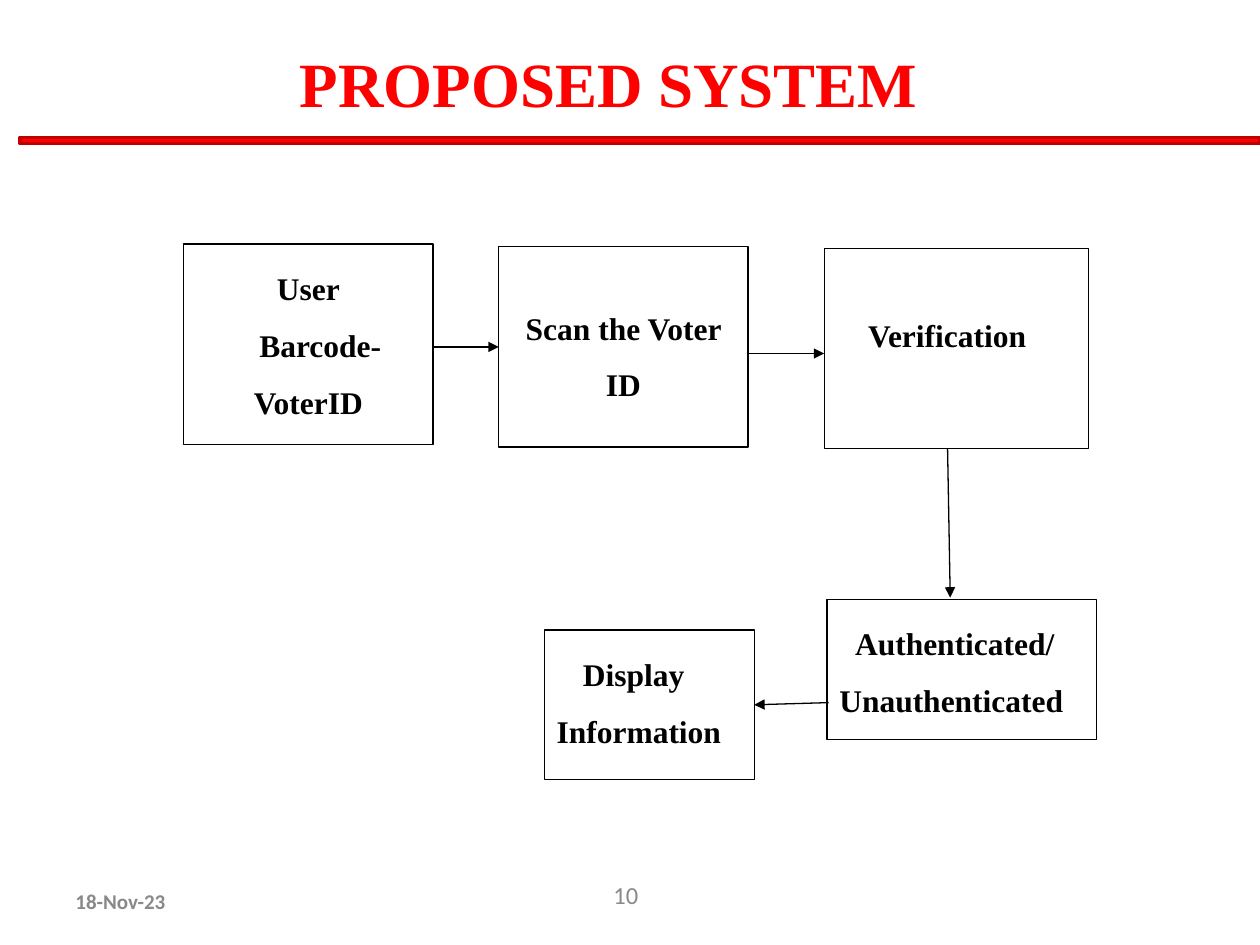
from lxml import etree
from pptx import Presentation
from pptx.dml.color import RGBColor
from pptx.enum.shapes import MSO_CONNECTOR as CONNECTOR, MSO_SHAPE as SHAPE
from pptx.enum.text import MSO_ANCHOR as ANCHOR, PP_ALIGN as ALIGN
from pptx.oxml.ns import qn
from pptx.util import Pt

COLORS = {"red": "FF0000", "dark_red": "C00000", "gray": "898989",
          "black": "000000", "white": "FFFFFF"}
SERIF = "Times New Roman"


def color(name):
    return RGBColor.from_string(COLORS[name])


def format_runs(paragraph, font_name, size, color_name, bold):
    for run in paragraph.runs:
        run.font.name = font_name
        run.font.size = Pt(size)
        run.font.bold = bold
        run.font.color.rgb = color(color_name)


presentation = Presentation()
presentation.slide_width, presentation.slide_height = Pt(720), Pt(540)
slide = presentation.slides.add_slide(presentation.slide_layouts[5])
shapes = slide.shapes

title = shapes.title
title.left, title.top, title.width, title.height = Pt(11.5), Pt(16.5), Pt(708.5), Pt(60.5)
title.text_frame.text = "PROPOSED SYSTEM"
title.text_frame.vertical_anchor = ANCHOR.MIDDLE
title.text_frame.margin_right = Pt(43)
title.text_frame.paragraphs[0].alignment = ALIGN.CENTER
format_runs(title.text_frame.paragraphs[0], SERIF, 36, "red", True)

rule = shapes.add_shape(SHAPE.RECTANGLE, Pt(11.5), Pt(78.5), Pt(708.5), Pt(3.6))
rule.shadow.inherit = False
rule.fill.solid()
rule.fill.fore_color.rgb = color("red")
rule.line.color.rgb = color("dark_red")
rule.line.width = Pt(2)

footers = [
    ("10", 203.8, 497, ALIGN.RIGHT, 14, False),
    ("18-Nov-23", 36, 500.5, ALIGN.LEFT, 12, True),
]
for text, left, top, alignment, size, bold in footers:
    footer = shapes.add_textbox(Pt(left), Pt(top), Pt(168), Pt(28.75))
    frame = footer.text_frame
    frame.word_wrap = True
    frame.vertical_anchor = ANCHOR.MIDDLE
    frame.text = text
    frame.paragraphs[0].alignment = alignment
    format_runs(frame.paragraphs[0], "Calibri", size, "gray", bold)

steps = {
    "user": (105, 139.5, 142.5, 114.5, ALIGN.CENTER, 3.6,
             [("User", 0), ("Barcode- VoterID", 13.5)]),
    "scan": (285, 141, 142.5, 114.5, ALIGN.CENTER, 24.5, [("Scan the Voter ID", 0)]),
    "verification": (471, 142, 151, 114.5, ALIGN.JUSTIFY, 28, [("Verification", 18)]),
    "authentication": (472.5, 342.5, 154, 80, ALIGN.JUSTIFY, 3.6,
                       [("Authenticated/", 9), ("Unauthenticated", 0)]),
    "display": (311, 360, 120, 85.5, ALIGN.JUSTIFY, 3.6,
                [("Display", 15), ("Information", 0)]),
}
boxes = {}
for name, (left, top, width, height, alignment, margin_top, lines) in steps.items():
    box = shapes.add_shape(SHAPE.RECTANGLE, Pt(left), Pt(top), Pt(width), Pt(height))
    box.shadow.inherit = False
    box.fill.solid()
    box.fill.fore_color.rgb = color("white")
    box.line.color.rgb = color("black")
    box.line.width = Pt(0.75)
    frame = box.text_frame
    frame.word_wrap = True
    frame.vertical_anchor = ANCHOR.TOP
    frame.margin_top = Pt(margin_top)
    frame.text = "\n".join(text for text, indent in lines)
    for paragraph, (text, indent) in zip(frame.paragraphs, lines):
        paragraph.alignment = alignment
        paragraph.line_spacing = 1.5
        properties = paragraph._p.get_or_add_pPr()
        properties.set("marL", "0")
        properties.set("indent", str(int(Pt(indent))))
        format_runs(paragraph, SERIF, 18, "black", True)
    boxes[name] = box

arrows = [
    (247.5, 198.25, 285, 198.25, "scan", 1),
    (428, 202, 471, 202, None, None),
    (541.5, 256.5, 543, 341.5, None, None),
    (473.5, 401.5, 431, 402.75, "display", 3),
]
for start_x, start_y, end_x, end_y, target, side in arrows:
    arrow = shapes.add_connector(CONNECTOR.STRAIGHT, Pt(start_x), Pt(start_y),
                                 Pt(end_x), Pt(end_y))
    if target:
        arrow.end_connect(boxes[target], side)
    arrow.line.color.rgb = color("black")
    arrow.line.width = Pt(0.75)
    etree.SubElement(arrow.line._get_or_add_ln(), qn("a:tailEnd"), type="triangle")
    etree.SubElement(arrow._element.spPr, qn("a:effectLst"))

presentation.save("out.pptx")
